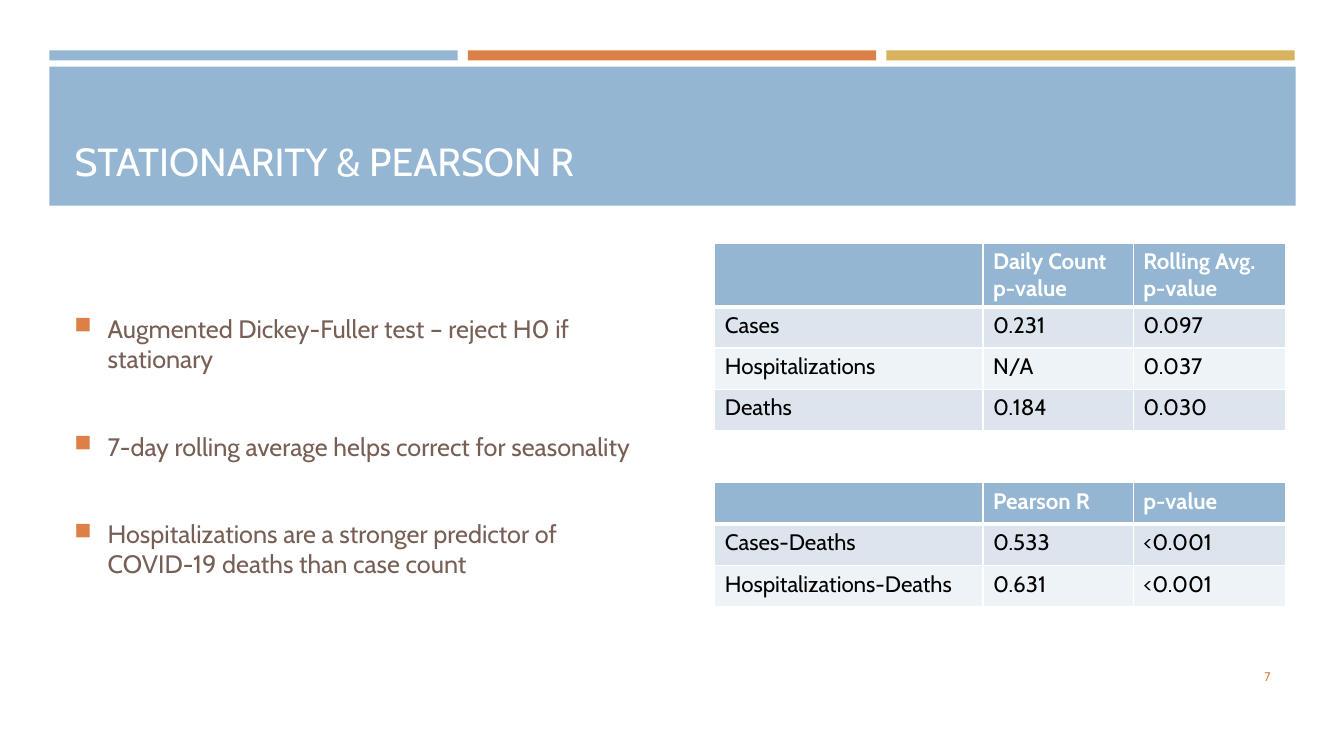
from lxml import etree
from pptx import Presentation, util as u
from pptx.dml.color import RGBColor
from pptx.enum import shapes, text
from pptx.oxml import ns

TITLE = "STATIONARITY & PEARSON R"
BULLETS = [
    "Augmented Dickey-Fuller test – reject H0 if stationary",
    "7-day rolling average helps correct for seasonality",
    "Hospitalizations are a stronger predictor of COVID-19 deaths than case count",
]
STATIONARITY = [
    ("", "Daily Count p-value", "Rolling Avg. p-value"),
    ("Cases", "0.231", "0.097"),
    ("Hospitalizations", "N/A", "0.037"),
    ("Deaths", "0.184", "0.030"),
]
CORRELATION = [
    ("", "Pearson R", "p-value"),
    ("Cases-Deaths", "0.533", "<0.001"),
    ("Hospitalizations-Deaths", "0.631", "<0.001"),
]
PAGE_NUMBER = "7"

COLORS = {
    "blue": "94B6D2", "orange": "DD8047", "gold": "D8B25C", "brown": "775F55",
    "white": "FFFFFF", "black": "000000", "dark band": "DCE5EE", "light band": "EEF3F7",
}
FONT = "Cabin"
PX = 9144  # 100 px to the inch
STRIPES = ["blue", "orange", "gold"]
STRIPE_LEFT, STRIPE_TOP, STRIPE_WIDTH, STRIPE_HEIGHT, STRIPE_GAP = 49, 50, 405, 10, 10
BANNER = (49, 66, 1236, 138)
TITLE_BOX = (64, 80, 1206, 108)
BULLET_BOX = (64, 244, 593, 397)
NUMBER_BOX = (1155, 651, 115, 40)
TABLE_LEFT, COLUMN_WIDTHS, ROW_HEIGHT = 709, (266, 149, 151), 41
# rows, top, header height
TABLES = [(STATIONARITY, 241, 62), (CORRELATION, 479, 41)]
INDENT = 33


def color(name):
    return RGBColor.from_string(COLORS[name])


def px(*lengths):
    return [u.Emu(length * PX) for length in lengths]


def place(shape, box):
    shape.left, shape.top, shape.width, shape.height = px(*box)


def set_all(target, **values):
    for name, value in values.items():
        setattr(target, name, value)


def write(paragraph, words, size, color_name, bold=False):
    run = paragraph.add_run()
    run.text = words
    set_all(run.font, name=FONT, size=u.Pt(size), bold=bold)
    run.font.color.rgb = color(color_name)


def add_bar(slide, box, color_name):
    bar = slide.shapes.add_shape(shapes.MSO_SHAPE.RECTANGLE, *px(*box))
    bar.shadow.inherit = False
    bar.fill.solid()
    bar.fill.fore_color.rgb = color(color_name)
    bar.line.fill.background()


def add_text_box(slide, box):
    frame = slide.shapes.add_textbox(*px(*box)).text_frame
    set_all(frame, word_wrap=True, vertical_anchor=text.MSO_ANCHOR.MIDDLE)
    return frame


def add_bullet(paragraph):
    properties = paragraph._p.get_or_add_pPr()
    properties.set("marL", str(INDENT * PX))
    properties.set("indent", str(-INDENT * PX))
    bullet_color = etree.SubElement(properties, ns.qn("a:buClr"))
    etree.SubElement(bullet_color, ns.qn("a:srgbClr"), val=COLORS["orange"])
    etree.SubElement(properties, ns.qn("a:buSzPct"), val="92000")
    etree.SubElement(properties, ns.qn("a:buChar"), char="■")


def add_borders(cell, bottom_width):
    """Draw white borders; they must stand before the fill in the cell's XML."""
    properties = cell._tc.get_or_add_tcPr()
    widths = {"a:lnL": 1, "a:lnR": 1, "a:lnT": 1, "a:lnB": bottom_width}
    for position, (tag, width) in enumerate(widths.items()):
        line = etree.Element(ns.qn(tag), w=str(u.Pt(width)))
        fill = etree.SubElement(line, ns.qn("a:solidFill"))
        etree.SubElement(fill, ns.qn("a:srgbClr"), val=COLORS["white"])
        properties.insert(position, line)


def add_data_table(slide, rows, top, header_height):
    heights = [header_height] + [ROW_HEIGHT] * (len(rows) - 1)
    box = px(TABLE_LEFT, top, sum(COLUMN_WIDTHS), sum(heights))
    table = slide.shapes.add_table(len(rows), len(COLUMN_WIDTHS), *box).table
    for column, width in zip(table.columns, px(*COLUMN_WIDTHS)):
        column.width = width
    for row, height in zip(table.rows, px(*heights)):
        row.height = height
    for r, values in enumerate(rows):
        header = r == 0
        fill = "blue" if header else "dark band" if r % 2 else "light band"
        for c, value in enumerate(values):
            cell = table.cell(r, c)
            cell.fill.solid()
            cell.fill.fore_color.rgb = color(fill)
            add_borders(cell, 3 if header or r == 1 and False else 1)
            if value:
                write(cell.text_frame.paragraphs[0], value, 16,
                      "white" if header else "black", header)
    for c in range(len(COLUMN_WIDTHS)):
        top_line = table.cell(1, c)._tc.tcPr.find(ns.qn("a:lnT"))
        top_line.set("w", str(u.Pt(3)))


def main():
    presentation = Presentation()
    set_all(presentation, slide_width=u.Inches(13.33), slide_height=u.Inches(7.5))
    slide = presentation.slides.add_slide(presentation.slide_layouts[5])

    for i, name in enumerate(STRIPES):
        left = STRIPE_LEFT + i * (STRIPE_WIDTH + STRIPE_GAP)
        add_bar(slide, (left, STRIPE_TOP, STRIPE_WIDTH, STRIPE_HEIGHT), name)
    add_bar(slide, BANNER, "blue")

    title = slide.shapes.title
    slide.shapes._spTree.append(title._element)  # in front of the banner
    place(title, TITLE_BOX)
    set_all(title.text_frame, word_wrap=True, auto_size=text.MSO_AUTO_SIZE.NONE,
            vertical_anchor=text.MSO_ANCHOR.BOTTOM)
    heading = title.text_frame.paragraphs[0]
    heading.alignment = text.PP_ALIGN.LEFT
    write(heading, TITLE, 28, "white")

    frame = add_text_box(slide, BULLET_BOX)
    for i, words in enumerate(BULLETS):
        paragraph = frame.add_paragraph() if i else frame.paragraphs[0]
        if i:
            paragraph.space_before = u.Pt(41)
        add_bullet(paragraph)
        write(paragraph, words, 18, "brown")

    for rows, top, header_height in TABLES:
        add_data_table(slide, rows, top, header_height)

    number = add_text_box(slide, NUMBER_BOX).paragraphs[0]
    number.alignment = text.PP_ALIGN.RIGHT
    write(number, PAGE_NUMBER, 9, "orange")

    presentation.save("out.pptx")


if __name__ == "__main__":
    main()
